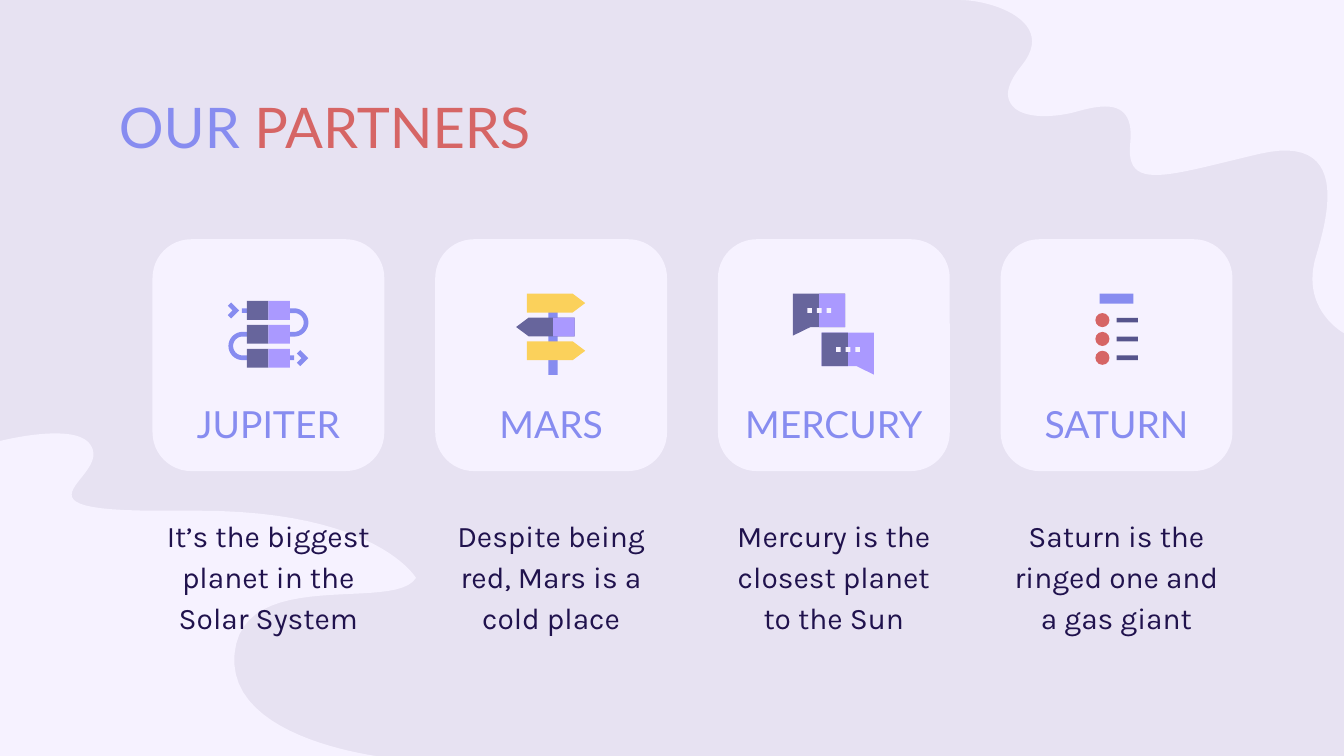
from dataclasses import dataclass

from pptx import Presentation
from pptx.dml.color import RGBColor
from pptx.enum.shapes import MSO_SHAPE
from pptx.enum.text import MSO_ANCHOR, PP_ALIGN
from pptx.shapes.autoshape import Shape
from pptx.shapes.shapetree import GroupShapes, SlideShapes
from pptx.slide import Slide
from pptx.text.text import TextFrame, _Paragraph
from pptx.util import Pt

RECTANGLE, ROUNDED, OVAL = MSO_SHAPE.RECTANGLE, MSO_SHAPE.ROUNDED_RECTANGLE, MSO_SHAPE.OVAL
CENTER, BOTTOM, TOP = PP_ALIGN.CENTER, MSO_ANCHOR.BOTTOM, MSO_ANCHOR.TOP

LAVENDER = RGBColor(0xE7, 0xE2, 0xF2)
PALE = RGBColor(0xF6, 0xF2, 0xFF)
BLUE = RGBColor(0x87, 0x8C, 0xF0)
RED = RGBColor(0xD6, 0x65, 0x65)
INK = RGBColor(0x20, 0x12, 0x4D)
SLATE = RGBColor(0x67, 0x65, 0x9C)
DEEP = RGBColor(0x56, 0x54, 0x8C)
VIOLET = RGBColor(0xAA, 0x99, 0xFF)
YELLOW = RGBColor(0xFB, 0xD1, 0x5B)

PAGE_WIDTH, PAGE_HEIGHT = 1440, 810
CARD_LEFT, CARD_TOP, CARD_SIZE, CARD_PITCH = 163.4, 256.3, 248.4, 302.9
CAPTION_TOP, CAPTION_HEIGHT = 534.2, 144
ICON_TOP = 314.6
INSET = 14.4
CURVE_STEPS = 24

# An outline is a start point, then lines (2 numbers) and cubic curves (6 numbers).
Outline = list[tuple[float, ...]]

TOP_WAVE: Outline = [
    (1410.5, 272.9),
    (1423.4, 229.7, 1445.8, 142.6, 1349.3, 164.9),
    (1251.4, 187.9, 1205.3, 205.9, 1211, 153.4),
    (1216.1, 103.7, 1179.4, 112.3, 1151.3, 120.2),
    (1129, 126, 1090.1, 128.9, 1081.4, 108),
    (1077.8, 99.4, 1080.7, 87.8, 1094.4, 70.6),
    (1133.3, 23, 1062.7, 0, 1028.2, 0),
    (1440, 0), (1440, 357),
    (1440, 357, 1391.8, 331.2, 1410.5, 272.9),
]
BOTTOM_WAVE: Outline = [
    (59, 464.4),
    (78.5, 464.4, 95, 468, 99.4, 481.7),
    (110.2, 514.1, 6.5, 547.2, 169.9, 547.2),
    (212.4, 547.2),
    (403.9, 547.2, 445.7, 619.2, 445.7, 619.2),
    (423, 656.6, 259.9, 605.5, 251.3, 700.6),
    (242.6, 795.6, 419, 812.2, 419, 812.2),
    (-5, 812.2), (-5, 473.8),
    (-5, 473.8, 29.5, 464.4, 59, 464.4),
]


@dataclass
class Canvas:
    """Shapes drawn relative to an origin, in points."""
    shapes: SlideShapes | GroupShapes
    x: float = 0
    y: float = 0


def paint(shape: Shape, color: RGBColor) -> None:
    shape.shadow.inherit = False
    shape.fill.solid()
    shape.fill.fore_color.rgb = color
    shape.line.fill.background()


def draw_preset(canvas: Canvas, kind: int, left: float, top: float,
                width: float, height: float, color: RGBColor) -> Shape:
    shape = canvas.shapes.add_shape(kind, Pt(canvas.x + left), Pt(canvas.y + top),
                                    Pt(width), Pt(height))
    paint(shape, color)
    return shape


def draw_outline(canvas: Canvas, outline: Outline, color: RGBColor) -> None:
    points = [outline[0]]
    for segment in outline[1:]:
        if len(segment) == 2:
            points.append(segment)
            continue
        corners = [points[-1], segment[:2], segment[2:4], segment[4:]]
        for step in range(1, CURVE_STEPS + 1):
            t = step / CURVE_STEPS
            weights = ((1 - t) ** 3, 3 * t * (1 - t) ** 2, 3 * t * t * (1 - t), t ** 3)
            points.append(tuple(sum(w * corner[axis] for w, corner in zip(weights, corners))
                                for axis in (0, 1)))
    placed = [(Pt(canvas.x + x), Pt(canvas.y + y)) for x, y in points]
    builder = canvas.shapes.build_freeform(*placed[0], scale=1.0)
    builder.add_line_segments(placed[1:], close=True)
    paint(builder.convert_to_shape(), color)


def prepare_text(frame: TextFrame, anchor: int) -> _Paragraph:
    frame.word_wrap = True
    frame.vertical_anchor = anchor
    frame.margin_left = frame.margin_right = frame.margin_top = frame.margin_bottom = Pt(INSET)
    return frame.paragraphs[0]


def add_span(para: _Paragraph, text: str, font: str, size: float, color: RGBColor) -> None:
    span = para.add_run()
    span.text = text
    span.font.name = font
    span.font.size = Pt(size)
    span.font.color.rgb = color


def draw_pipeline(icon: Canvas) -> None:
    for side, y in ((1, 15.8), (-1, 41)):
        start, bend, outer, inner = (side * x for x in (17.6, 27.7, 42.8, 37.8))
        draw_outline(icon, [
            (start, y), (bend, y),
            (side * 36, y, outer, y + 6.8, outer, y + 15.1),
            (outer, y + 23.4, side * 36, y + 30.2, bend, y + 30.2),
            (start, y + 30.2), (start, y + 25.2), (bend, y + 25.2),
            (side * 33.3, y + 25.2, inner, y + 20.7, inner, y + 15.1),
            (inner, y + 9.5, side * 33.3, y + 5, bend, y + 5),
            (start, y + 5)], BLUE)
    for left, top in ((17.6, 66.2), (-28.4, 15.8)):
        draw_preset(icon, RECTANGLE, left, top, 10, 5, BLUE)
    for x, y in ((42.8, 69.1), (-31.3, 18)):
        draw_outline(icon, [(x, y), (x - 8.6, y - 8.6), (x - 12.2, y - 5), (x - 7.2, y),
                            (x - 12.2, y + 5), (x - 8.6, y + 8.6)], BLUE)
    for row in range(3):
        for left, color in ((-23, SLATE), (0, VIOLET)):
            draw_preset(icon, RECTANGLE, left, 7.9 + 25.6 * row, 23, 20.2, color)


def draw_signpost(icon: Canvas) -> None:
    draw_preset(icon, RECTANGLE, -3, 15.8, 10.1, 71.3, BLUE)
    for back, y, side, color in ((-26, 0, 1, YELLOW), (25.1, 25.6, -1, SLATE),
                                 (-26, 51.1, 1, YELLOW)):
        neck, tip = back + side * 49, back + side * 62.6
        draw_outline(icon, [(back, y), (neck, y), (tip, y + 10.15),
                            (neck, y + 20.3), (back, y + 20.3)], color)
    draw_preset(icon, RECTANGLE, 2.1, 25.6, 23, 20.3, VIOLET)


def draw_chat(icon: Canvas) -> None:
    for left, y, tail, side, tail_color, half_color in (
            (-43.8, 0, -43.8, 1, SLATE, VIOLET), (-13, 41.8, 43, -1, VIOLET, SLATE)):
        far = tail + side * 56
        draw_outline(icon, [(tail, y), (tail, y + 45), (tail + side * 18.5, y + 36),
                            (far, y + 36), (far, y)], tail_color)
        draw_preset(icon, RECTANGLE, min(far, far - side * 28), y, 28, 36, half_color)
        for dot in range(3):
            draw_preset(icon, RECTANGLE, left + 15.4 + 10.3 * dot, y + 15.6, 5, 5, PALE)


def draw_checklist(icon: Canvas) -> None:
    draw_preset(icon, RECTANGLE, -18, 0, 36, 10.8, BLUE)
    for row in range(3):
        draw_preset(icon, OVAL, -22.7, 20.8 + 20.2 * row, 15.1, 15.1, RED)
        draw_preset(icon, RECTANGLE, 0, 25.9 + 20.2 * row, 23, 5, DEEP)


PARTNERS = (
    ("JUPITER", "It’s the biggest planet in the Solar System", draw_pipeline),
    ("MARS", "Despite being red, Mars is a cold place", draw_signpost),
    ("MERCURY", "Mercury is the closest planet to the Sun", draw_chat),
    ("SATURN", "Saturn is the ringed one and a gas giant", draw_checklist),
)


def draw_title(page: Slide) -> None:
    box = page.shapes.add_textbox(Pt(113), Pt(85), Pt(1213.2), Pt(90))
    para = prepare_text(box.text_frame, TOP)
    add_span(para, "OUR ", "Lato", 60, BLUE)
    add_span(para, "PARTNERS", "Lato", 60, RED)


def draw_partner(page: Slide, left: float, name: str, caption: str) -> None:
    card = draw_preset(Canvas(page.shapes), ROUNDED, left, CARD_TOP, CARD_SIZE, CARD_SIZE, PALE)
    card.adjustments[0] = 0.167
    para = prepare_text(card.text_frame, BOTTOM)
    para.alignment = CENTER
    add_span(para, name, "Lato", 40, BLUE)

    box = page.shapes.add_textbox(Pt(left), Pt(CAPTION_TOP), Pt(CARD_SIZE), Pt(CAPTION_HEIGHT))
    para = prepare_text(box.text_frame, TOP)
    para.alignment = CENTER
    para.line_spacing = 1.15
    add_span(para, caption, "Karla", 32, INK)


def main() -> None:
    deck = Presentation()
    deck.slide_width, deck.slide_height = Pt(PAGE_WIDTH), Pt(PAGE_HEIGHT)
    page = deck.slides.add_slide(deck.slide_layouts[6])
    page.background.fill.solid()
    page.background.fill.fore_color.rgb = LAVENDER
    for wave in (TOP_WAVE, BOTTOM_WAVE):
        draw_outline(Canvas(page.shapes), wave, PALE)
    draw_title(page)
    for column, (name, caption, draw_icon) in enumerate(PARTNERS):
        left = CARD_LEFT + CARD_PITCH * column
        draw_partner(page, left, name, caption)
        group = page.shapes.add_group_shape()
        draw_icon(Canvas(group.shapes, left + CARD_SIZE / 2, ICON_TOP))
    deck.save("out.pptx")


if __name__ == "__main__":
    main()
